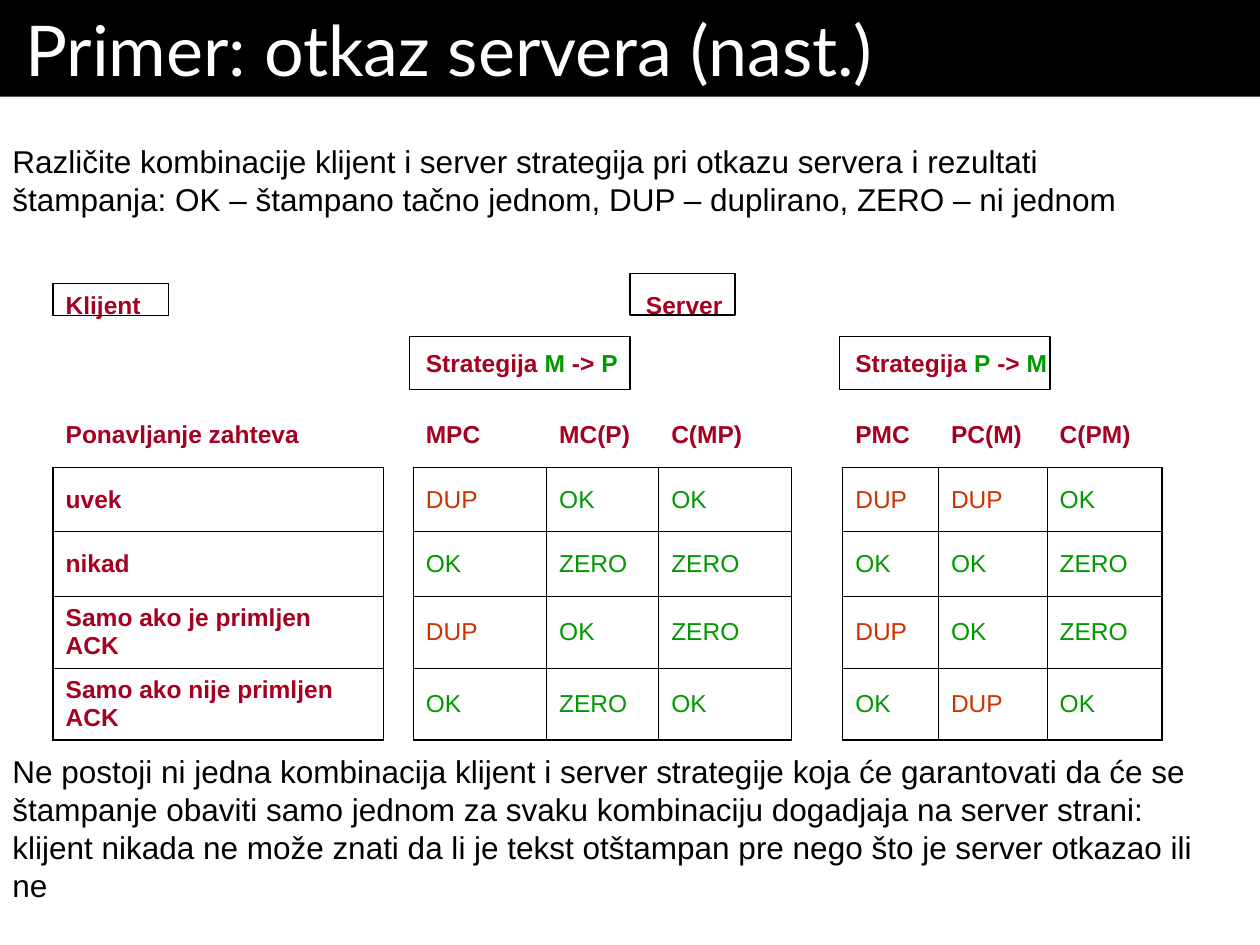
from lxml import etree
from pptx import Presentation
from pptx.dml.color import RGBColor
from pptx.enum.shapes import MSO_SHAPE
from pptx.enum.text import MSO_ANCHOR, PP_ALIGN
from pptx.oxml.ns import qn
from pptx.util import Cm, Pt

RECTANGLE = MSO_SHAPE.RECTANGLE
MIDDLE, BOTTOM = MSO_ANCHOR.MIDDLE, MSO_ANCHOR.BOTTOM
LEFT = PP_ALIGN.LEFT

COLORS = {"black": "000000", "white": "FFFFFF", "label": "A50021",
          "good": "009900", "dup": "CC3300"}
THIN, THICK = 0.45, 1.08
PLAIN_TABLE_STYLE = "{2D5ABB26-0587-4C30-8999-92F81FD0307C}"

# Content
TITLE = "Primer: otkaz servera (nast.)"
INTRO = ("Različite kombinacije klijent i server strategija pri otkazu servera i rezultati "
         "štampanja: OK – štampano tačno jednom, DUP – duplirano, ZERO – ni jednom")
CONCLUSION = ("Ne postoji ni jedna kombinacija klijent i server strategije koja će garantovati "
              "da će se štampanje obaviti samo jednom za svaku kombinaciju dogadjaja na server "
              "strani: klijent nikada ne može znati da li je tekst otštampan pre nego što je "
              "server otkazao ili ne")
HEADINGS = [  # row, column, columns spanned, runs
    (0, 0, 1, [("Klijent", "label")]),
    (0, 5, 5, [("Server", "label")]),
    (1, 2, 5, [("Strategija ", "label"), ("M", "good"), (" -> ", "label"), ("P", "good")]),
    (1, 8, 4, [("Strategija ", "label"), ("P", "good"), (" -> ", "label"), ("M", "good")]),
]
EVENTS = ["Ponavljanje zahteva", "MPC", "MC(P)", "C(MP)", "PMC", "PC(M)", "C(PM)"]
OUTCOMES = [
    ["uvek", "DUP", "OK", "OK", "DUP", "DUP", "OK"],
    ["nikad", "OK", "ZERO", "ZERO", "OK", "OK", "ZERO"],
    ["Samo ako je primljen ACK", "DUP", "OK", "ZERO", "DUP", "OK", "ZERO"],
    ["Samo ako nije primljen ACK", "OK", "ZERO", "OK", "OK", "DUP", "OK"],
]

# Layout in centimetres
TABLE_LEFT, TABLE_TOP = 1.07, 5.54
COLUMN_WIDTHS = [6.65, 0.61, 2.08, 0.51, 1.75, 0.51, 2.67, 1.04, 1.93, 0.51, 1.68, 2.31]
ROW_HEIGHTS = [0.94, 1.55, 1.3, 1.3, 1.3, 1.45, 1.45]
EVENT_COLUMNS = [(0, 1), (2, 2), (4, 2), (6, 1), (8, 1), (9, 2), (11, 1)]
GAP_COLUMNS = [1, 7]
EVENT_ROW = 2
LAST_ROW, LAST_COLUMN = len(ROW_HEIGHTS) - 1, len(COLUMN_WIDTHS) - 1
HEADING_FRAMES = [(1.07, 5.72, 2.33, 0.64), (12.7, 5.51, 2.12, 0.84),
                  (8.26, 6.78, 4.44, 1.07), (16.93, 6.78, 4.24, 1.07)]


def rgb(name):
    return RGBColor.from_string(COLORS[name])


def add_run(paragraph, text, color, size, font="Arial", bold=False):
    run = paragraph.add_run()
    run.text = text
    run.font.size, run.font.name, run.font.bold = Pt(size), font, bold
    run.font.color.rgb = rgb(color)


def add_note(slide, text, left, top, width, height):
    frame = slide.shapes.add_textbox(Cm(left), Cm(top), Cm(width), Cm(height)).text_frame
    frame.word_wrap = True
    frame.vertical_anchor = BOTTOM
    add_run(frame.paragraphs[0], text, "black", 18)


def add_rectangle(slide, left, top, width, height):
    rectangle = slide.shapes.add_shape(RECTANGLE, Cm(left), Cm(top), Cm(width), Cm(height))
    rectangle.shadow.inherit = False
    return rectangle


def fill_cell(table, row, column, span, runs, bold=True):
    cell = table.cell(row, column)
    if span > 1:
        cell.merge(table.cell(row, column + span - 1))
    cell.vertical_anchor = BOTTOM if row == 0 else MIDDLE
    for text, color in runs:
        add_run(cell.text_frame.paragraphs[0], text, color, 14, bold=bold)


def border_widths(row, column, span):
    """Border widths of a cell by side; a missing side has no line."""
    if row < EVENT_ROW:
        return {}
    if column in GAP_COLUMNS:
        return {"L": THIN, "R": THIN} if row > EVENT_ROW else {}
    if row == EVENT_ROW:
        return {"B": THIN}
    return {"L": THICK if column == 0 else THIN,
            "R": THICK if column + span - 1 == LAST_COLUMN else THIN,
            "T": THIN,
            "B": THICK if row == LAST_ROW else THIN}


def draw_borders(cell, widths):
    properties = cell._tc.get_or_add_tcPr()
    for side in "LRTB":
        line = etree.SubElement(properties, qn(f"a:ln{side}"))
        if side in widths:
            line.set("w", str(Pt(widths[side])))
            fill = etree.SubElement(line, qn("a:solidFill"))
            etree.SubElement(fill, qn("a:srgbClr"), val=COLORS["black"])
        else:
            etree.SubElement(line, qn("a:noFill"))
    cell.fill.background()


def add_outcome_table(slide):
    holder = slide.shapes.add_table(
        len(ROW_HEIGHTS), len(COLUMN_WIDTHS), Cm(TABLE_LEFT), Cm(TABLE_TOP),
        Cm(sum(COLUMN_WIDTHS)), Cm(sum(ROW_HEIGHTS)))
    table = holder.table
    table.first_row = table.horz_banding = False
    for style in holder.element.iter(qn("a:tableStyleId")):
        style.text = PLAIN_TABLE_STYLE
    for column, width in zip(table.columns, COLUMN_WIDTHS):
        column.width = Cm(width)
    for row, height in zip(table.rows, ROW_HEIGHTS):
        row.height = Cm(height)

    # Headings, event names and outcomes
    for heading in HEADINGS:
        fill_cell(table, *heading)
    for row, texts in enumerate([EVENTS] + OUTCOMES, EVENT_ROW):
        for (column, span), text in zip(EVENT_COLUMNS, texts):
            is_label = row == EVENT_ROW or column == 0
            color = "label" if is_label else "dup" if text == "DUP" else "good"
            fill_cell(table, row, column, span, [(text, color)], bold=is_label)

    # Grid lines
    for row in range(len(ROW_HEIGHTS)):
        for column in range(len(COLUMN_WIDTHS)):
            cell = table.cell(row, column)
            if not cell.is_spanned:
                span = cell.span_width if cell.is_merge_origin else 1
                draw_borders(cell, border_widths(row, column, span))


def main():
    deck = Presentation()
    deck.slide_width, deck.slide_height = Cm(25.4), Cm(19.05)
    slide = deck.slides.add_slide(deck.slide_layouts[6])

    # Title bar
    bar = add_rectangle(slide, 0, 0, 25.4, 1.95)
    bar.fill.solid()
    bar.fill.fore_color.rgb = rgb("black")
    bar.line.fill.background()
    frame = bar.text_frame
    frame.word_wrap = True
    frame.vertical_anchor = MIDDLE
    frame.margin_left = frame.margin_right = Cm(0.51)
    frame.paragraphs[0].alignment = LEFT
    add_run(frame.paragraphs[0], TITLE, "white", 40, font="Lato")

    # Outcomes with framed headings, between two notes
    add_outcome_table(slide)
    add_note(slide, INTRO, 0, 2.74, 24.38, 1.78)
    for place in HEADING_FRAMES:
        heading_frame = add_rectangle(slide, *place)
        heading_frame.fill.background()
        heading_frame.line.color.rgb = rgb("black")
        heading_frame.line.width = Pt(0.75)
    add_note(slide, CONCLUSION, 0, 15.04, 24.77, 3.3)

    deck.save("out.pptx")


if __name__ == "__main__":
    main()
